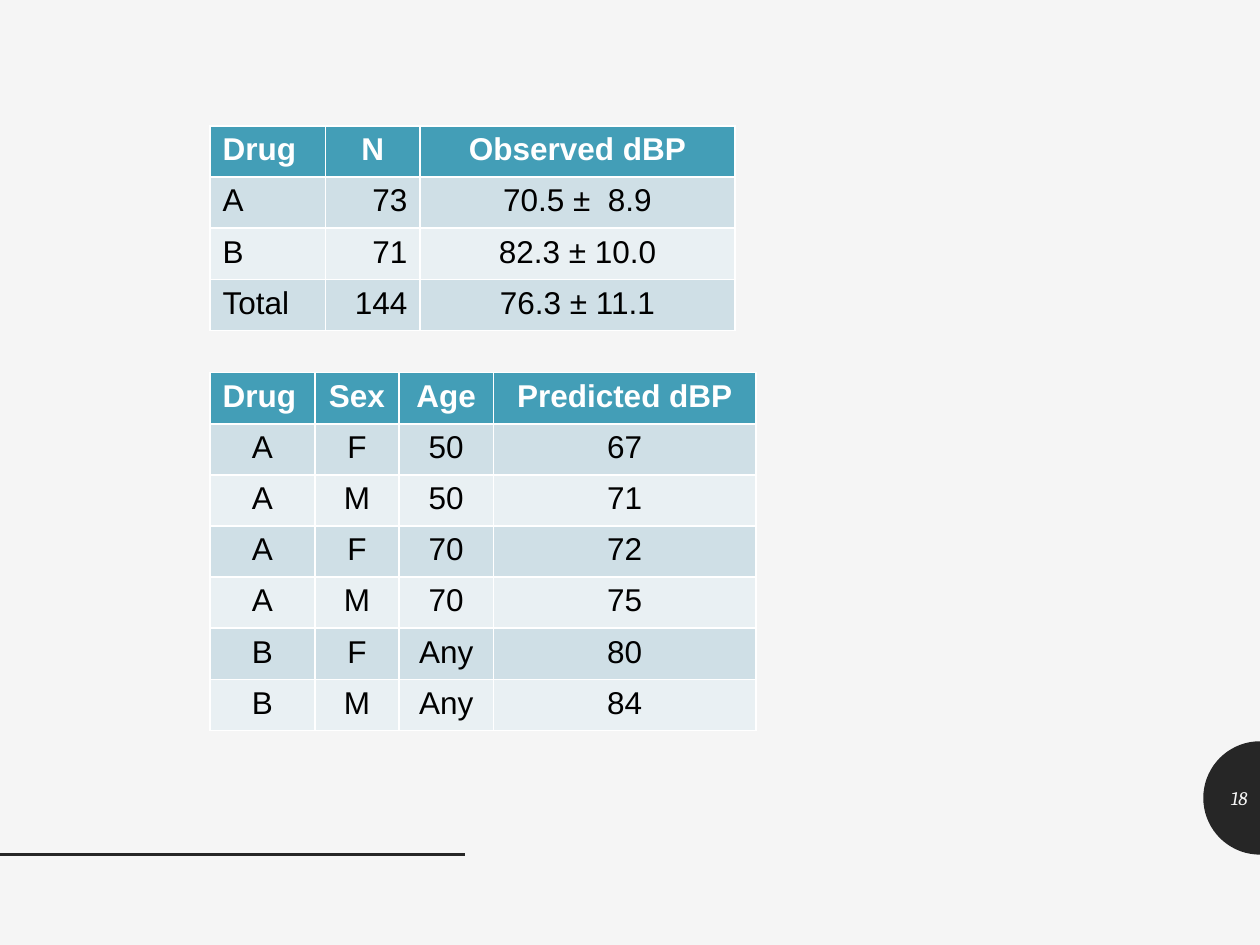
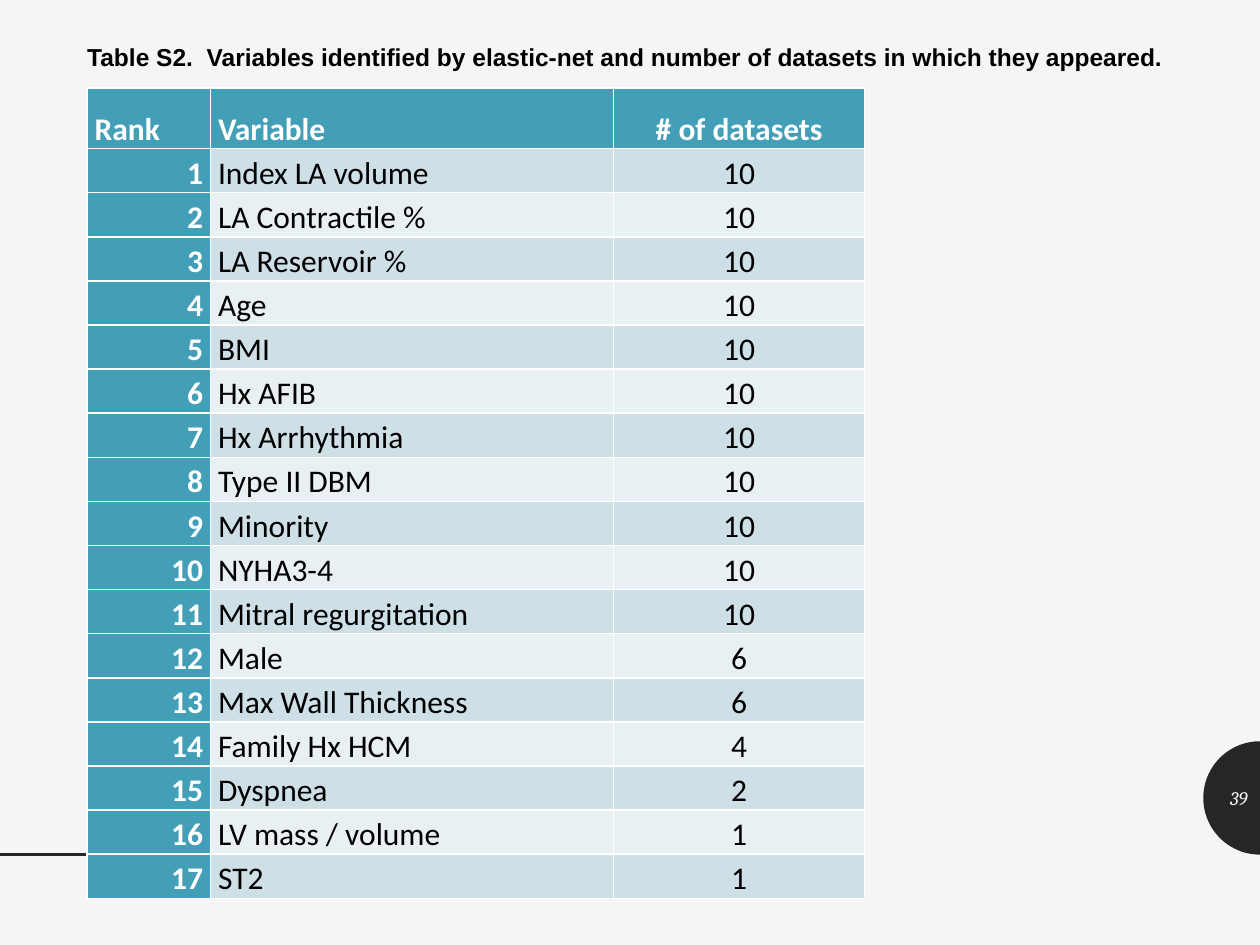
"""Build two slides of blood-pressure and variable-selection tables."""
import math
from dataclasses import dataclass

from lxml import etree
from pptx import Presentation
from pptx import util as u
from pptx.dml.color import RGBColor
from pptx.enum import shapes, text


@dataclass(frozen=True)
class Theme:
    paper: RGBColor = RGBColor.from_string("F5F5F5")
    dark: RGBColor = RGBColor.from_string("262626")
    teal: RGBColor = RGBColor.from_string("439EB7")
    bands: tuple = (RGBColor.from_string("CFDFE6"), RGBColor.from_string("E9F0F3"))
    white: RGBColor = RGBColor.from_string("FFFFFF")
    black: RGBColor = RGBColor.from_string("000000")
    table_size: int = 18
    caption_size: int = 14
    number_size: int = 11


theme = Theme()
ALIGN = {"l": text.PP_ALIGN.LEFT, "c": text.PP_ALIGN.CENTER, "r": text.PP_ALIGN.RIGHT}
COLUMNS, ROWS = 120, 90

deck = Presentation()
deck.slide_width, deck.slide_height = u.Inches(10), u.Inches(7.5)
background = deck.slide_master.background.fill
background.solid()
background.fore_color.rgb = theme.paper


def grid(steps):
    """Turn grid steps into a length."""
    return u.Emu(round(steps * deck.slide_width / COLUMNS))


def add_grid_table(slide, left, top, widths, heights, rows, head, body,
                   font="Arial", ranked=False):
    """Add a banded table; head and body give one alignment letter per column."""
    table = slide.shapes.add_table(len(rows), len(widths), grid(left), grid(top),
                                   grid(sum(widths)), grid(sum(heights))).table
    table.first_col = ranked
    for column, width in zip(table.columns, widths):
        column.width = grid(width)
    for r, (values, height) in enumerate(zip(rows, heights)):
        table.rows[r].height = grid(height)
        for c, value in enumerate(values):
            cell = table.cell(r, c)
            strong = r == 0 or (ranked and c == 0)
            cell.fill.solid()
            cell.fill.fore_color.rgb = theme.teal if strong else theme.bands[(r - 1) % 2]
            cell.text_frame.text = str(value)
            line = cell.text_frame.paragraphs[0]
            line.alignment = ALIGN[(body if r else head)[c]]
            if ranked:
                cell.vertical_anchor = text.MSO_ANCHOR.BOTTOM
                cell.margin_left = cell.margin_right = u.Inches(0.06)
                cell.margin_top = cell.margin_bottom = 0
                line.line_spacing = 1.15
            run_font = line.runs[0].font
            run_font.name, run_font.size = font, u.Pt(theme.table_size)
            run_font.bold = strong
            run_font.color.rgb = theme.white if strong else theme.black


dbp_slide = deck.slides.add_slide(deck.slide_layouts[6])
ranking_slide = deck.slides.add_slide(deck.slide_layouts[5])

DISC_RADIUS, DISC_MIDDLE, RULE_LENGTH = 5.4, 76, 44.3
for slide, page in ((dbp_slide, "18"), (ranking_slide, "39")):
    arc = [(grid(COLUMNS - DISC_RADIUS * math.sin(math.radians(a))),
            grid(DISC_MIDDLE - DISC_RADIUS * math.cos(math.radians(a))))
           for a in range(0, 181, 5)]
    outline = slide.shapes.build_freeform(*arc[0])
    outline.add_line_segments(arc[1:], close=True)
    half_disc = outline.convert_to_shape()
    half_disc.shadow.inherit = False
    half_disc.fill.solid()
    half_disc.fill.fore_color.rgb = theme.dark
    half_disc.line.fill.background()

    rule_y = grid(DISC_MIDDLE + DISC_RADIUS)
    rule = slide.shapes.add_connector(shapes.MSO_CONNECTOR.STRAIGHT, 0, rule_y,
                                      grid(RULE_LENGTH), rule_y)
    rule.line.color.rgb, rule.line.width = theme.dark, u.Pt(2)
    properties = rule.line._get_or_add_ln().getparent()
    etree.SubElement(properties, "{http://schemas.openxmlformats.org/drawingml/2006/main}effectLst")

    number = slide.shapes.add_textbox(grid(COLUMNS - DISC_RADIUS), grid(DISC_MIDDLE - 2.4),
                                      grid(DISC_RADIUS), grid(4.8)).text_frame
    number.word_wrap = True
    number.vertical_anchor = text.MSO_ANCHOR.MIDDLE
    number.text = page
    number.paragraphs[0].alignment = text.PP_ALIGN.RIGHT
    number_font = number.paragraphs[0].runs[0].font
    number_font.name, number_font.size = "Cambria", u.Pt(theme.number_size)
    number_font.italic = True
    number_font.color.rgb = theme.paper

observed = [("Drug", "N", "Observed dBP"),
            ("A", 73, "70.5 ±  8.9"),
            ("B", 71, "82.3 ± 10.0"),
            ("Total", 144, "76.3 ± 11.1")]
predicted = [("Drug", "Sex", "Age", "Predicted dBP"),
             ("A", "F", 50, 67),
             ("A", "M", 50, 71),
             ("A", "F", 70, 72),
             ("A", "M", 70, 75),
             ("B", "F", "Any", 80),
             ("B", "M", "Any", 84)]
DBP_ROW = 4.87
add_grid_table(dbp_slide, 20, 12, (11, 9, 30), [DBP_ROW] * len(observed),
               observed, "lcc", "lrc")
add_grid_table(dbp_slide, 20, 35.5, (10, 8, 9, 25), [DBP_ROW] * len(predicted),
               predicted, "lccc", "cccc")

caption = ranking_slide.shapes.title
caption.left, caption.top, caption.width, caption.height = map(grid, (7.1, 3, 105.8, 4.2))
caption_frame = caption.text_frame
caption_frame.text = ("Table S2.  Variables identified by elastic-net and number of "
                      "datasets in which they appeared.")
caption_frame.word_wrap = True
caption_frame.auto_size = text.MSO_AUTO_SIZE.NONE
caption_frame.vertical_anchor = text.MSO_ANCHOR.TOP
caption_line = caption_frame.paragraphs[0]
caption_line.alignment, caption_line.line_spacing = text.PP_ALIGN.LEFT, 1.15
caption_font = caption_line.runs[0].font
caption_font.name, caption_font.size = "Arial", u.Pt(theme.caption_size)
caption_font.bold = True
caption_font.color.rgb = theme.black

variables = [("Index LA volume", 10), ("LA Contractile %", 10), ("LA Reservoir %", 10),
             ("Age", 10), ("BMI", 10), ("Hx AFIB", 10), ("Hx Arrhythmia", 10),
             ("Type II DBM", 10), ("Minority", 10), ("NYHA3-4", 10),
             ("Mitral regurgitation", 10), ("Male", 6), ("Max Wall Thickness", 6),
             ("Family Hx HCM", 4), ("Dyspnea", 2), ("LV mass / volume", 1), ("ST2", 1)]
ranking = [("Rank", "Variable", "# of datasets")]
ranking += [(rank, *variable) for rank, variable in enumerate(variables, 1)]
add_grid_table(ranking_slide, 8.3, 8.4, (11.75, 38.4, 23.9), [5.75] + [4.2] * len(variables),
               ranking, "llc", "rlc", font="Calibri", ranked=True)

deck.save("out.pptx")
